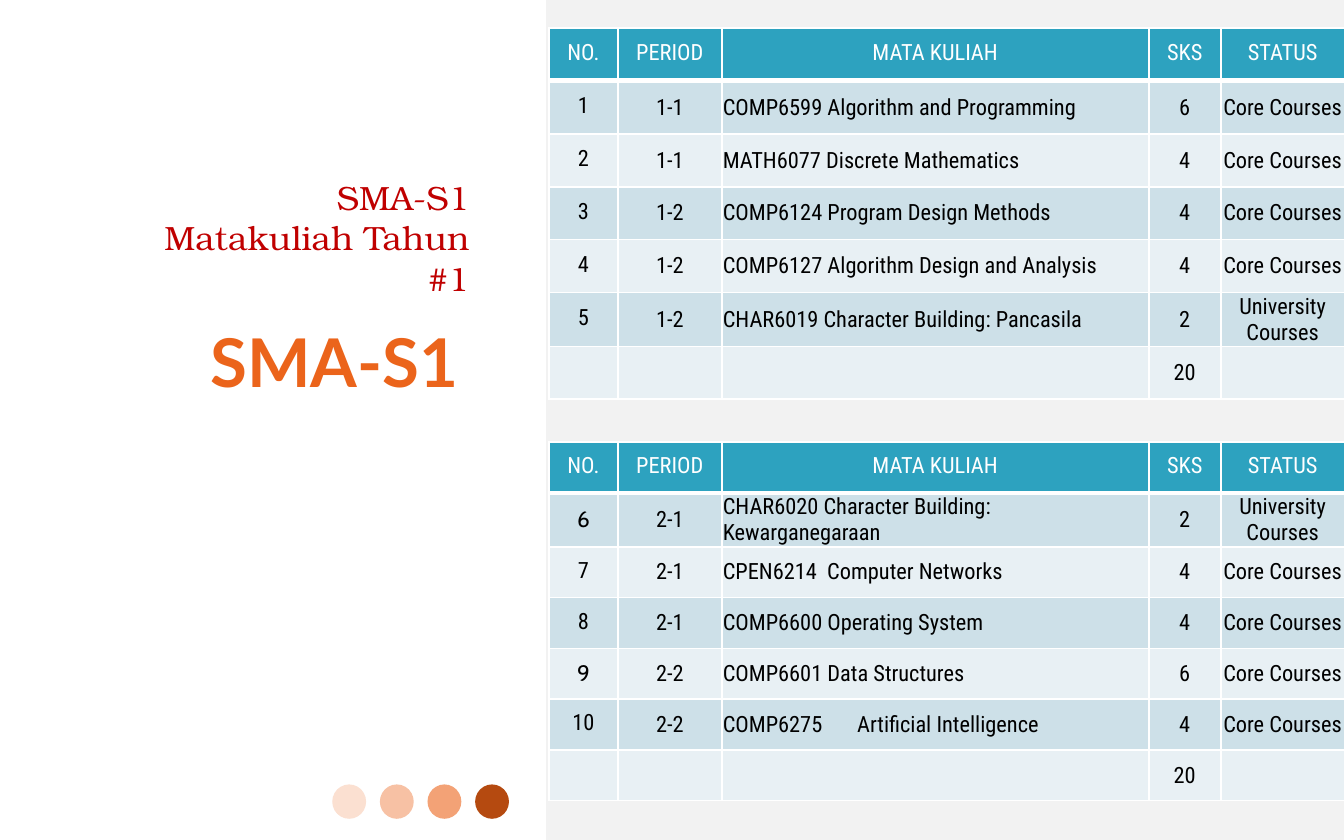
"""Build the SMA-S1 first-year course slide with one table per semester."""
from dataclasses import dataclass

from lxml.etree import SubElement
from pptx import Presentation
from pptx.dml.color import RGBColor
from pptx.enum.shapes import MSO_SHAPE as Shape
from pptx.enum.text import MSO_ANCHOR as Anchor, PP_ALIGN as Align
from pptx.oxml.ns import qn
from pptx.util import Cm, Pt


@dataclass(frozen=True)
class Theme:
    panel: str = "F2F2F2"
    dots: tuple = ("FBE0D1", "F7C1A4", "F3A276", "B54A10")
    title: str = "C00000"
    accent: str = "EB641B"
    header: str = "2DA2BF"
    bands: tuple = ("CDE0E8", "E8F0F4")
    light: str = "FFFFFF"
    dark: str = "000000"
    title_font: str = "TeX Gyre Bonum"
    accent_font: str = "Lato"
    table_font: str = "Roboto Condensed"
    number_font: str = "Cabin"
    title_size: int = 18
    accent_size: int = 36
    table_size: int = 12


theme = Theme()


def add_run(paragraph, text, font, size, color, bold=False):
    run = paragraph.add_run()
    run.text = text
    run.font.name = font
    run.font.size = Pt(size)
    run.font.bold = bold
    run.font.color.rgb = RGBColor.from_string(color)


def add_border(cell, side, width):
    properties = cell._tc.get_or_add_tcPr()
    line = SubElement(properties, qn(f"a:ln{side}"), w=str(Pt(width)))
    fill = SubElement(line, qn("a:solidFill"))
    SubElement(fill, qn("a:srgbClr"), val=theme.light)


presentation = Presentation()
presentation.slide_width = Cm(25.4)
presentation.slide_height = Cm(15.88)
slide = presentation.slides.add_slide(presentation.slide_layouts[6])

decorations = [(Shape.RECTANGLE, 10.32, 0, 15.08, 15.88, theme.panel)]
for index, color in enumerate(theme.dots):
    decorations.append((Shape.OVAL, 6.28 + 0.9 * index, 14.83, 0.64, 0.65, color))
for kind, left, top, width, height, color in decorations:
    shape = slide.shapes.add_shape(kind, Cm(left), Cm(top), Cm(width), Cm(height))
    shape.shadow.inherit = False
    shape.fill.solid()
    shape.fill.fore_color.rgb = RGBColor.from_string(color)
    shape.line.fill.background()

title_style = (theme.title_font, theme.title_size, theme.title)
accent_style = (theme.accent_font, theme.accent_size, theme.accent, True)
text_boxes = [
    (2.39, 3.58, 2.18, Anchor.BOTTOM, ["SMA-S1", "Matakuliah Tahun #1"], title_style),
    (2.18, 5.94, 9.12, Anchor.TOP, ["SMA-S1"], accent_style),
]
for left, top, height, anchor, lines, style in text_boxes:
    box = slide.shapes.add_textbox(Cm(left), Cm(top), Cm(6.73), Cm(height))
    frame = box.text_frame
    frame.word_wrap = True
    frame.vertical_anchor = anchor
    paragraph = frame.paragraphs[0]
    paragraph.alignment = Align.RIGHT
    for index, line in enumerate(lines):
        if index:
            paragraph.add_line_break()
        add_run(paragraph, line, *style)

column_widths = [1.31, 1.96, 8.07, 1.36, 2.34]
course_column = 2
header = ("NO.", "PERIOD", "MATA KULIAH", "SKS", "STATUS")
total = ("", "", "", "20", "")
core, university = "Core Courses", "University Courses"
cabin_numbers = ("6", "9")
semesters = [
    (0.53, 1.0, [
        ("1", "1-1", "COMP6599 Algorithm and Programming", "6", core),
        ("2", "1-1", "MATH6077 Discrete Mathematics", "4", core),
        ("3", "1-2", "COMP6124 Program Design Methods", "4", core),
        ("4", "1-2", "COMP6127 Algorithm Design and Analysis", "4", core),
        ("5", "1-2", "CHAR6019 Character Building: Pancasila", "2", university),
    ]),
    (8.36, 0.96, [
        ("6", "2-1", "CHAR6020 Character Building: Kewarganegaraan", "2", university),
        ("7", "2-1", "CPEN6214  Computer Networks", "4", core),
        ("8", "2-1", "COMP6600 Operating System", "4", core),
        ("9", "2-2", "COMP6601 Data Structures", "6", core),
        ("10", "2-2", "COMP6275\tArtificial Intelligence", "4", core),
    ]),
]

for top, row_height, courses in semesters:
    rows = [header, *courses, total]
    table = slide.shapes.add_table(
        len(rows), len(header), Cm(10.37), Cm(top),
        Cm(sum(column_widths)), Cm(row_height * len(rows)),
    ).table
    for column, width in zip(table.columns, column_widths):
        column.width = Cm(width)
    for row_index, values in enumerate(rows):
        table.rows[row_index].height = Cm(row_height)
        is_header = row_index == 0
        background = theme.header if is_header else theme.bands[(row_index - 1) % 2]
        for column_index, text in enumerate(values):
            cell = table.cell(row_index, column_index)
            cell.vertical_anchor = Anchor.MIDDLE
            cell.margin_left = cell.margin_right = Cm(0.02)
            cell.margin_top = cell.margin_bottom = Cm(0)
            add_border(cell, "L", 1)
            add_border(cell, "R", 1)
            add_border(cell, "T", 3 if row_index == 1 else 1)
            add_border(cell, "B", 3 if is_header else 1)
            cell.fill.solid()
            cell.fill.fore_color.rgb = RGBColor.from_string(background)
            if not text:
                continue
            paragraph = cell.text_frame.paragraphs[0]
            is_course = column_index == course_column and not is_header
            paragraph.alignment = Align.LEFT if is_course else Align.CENTER
            is_cabin = column_index == 0 and text in cabin_numbers
            if is_header or (column_index == 0 and not is_cabin):
                paragraph.line_spacing = 0.8
                paragraph.space_before = Pt(3)
            font = theme.number_font if is_cabin else theme.table_font
            color = theme.light if is_header else theme.dark
            add_run(paragraph, text, font, theme.table_size, color)

presentation.save("out.pptx")
